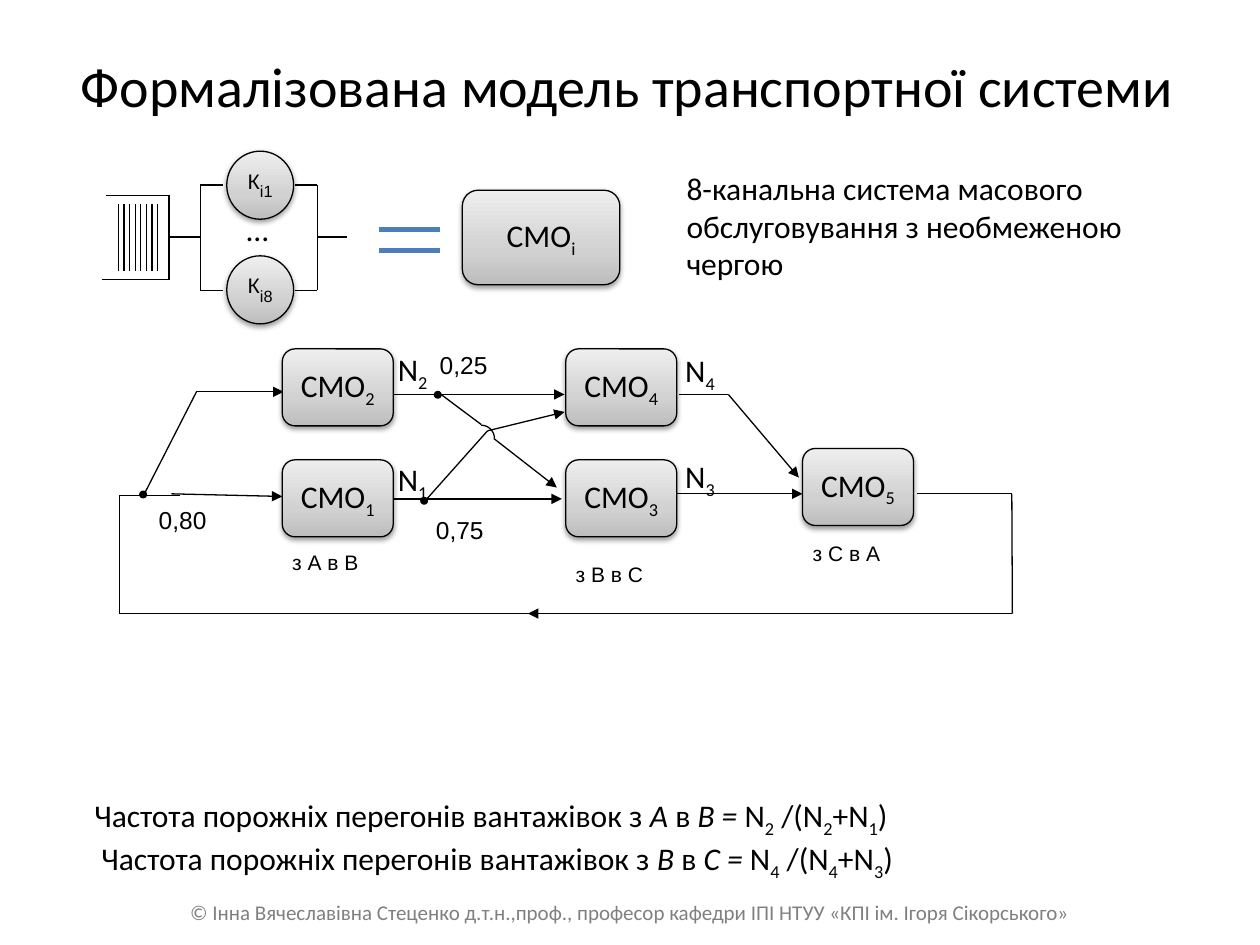
"""Draw the formal queueing model of a transport system."""
from itertools import pairwise
from math import cos, pi, sin

from pptx import Presentation
from pptx.dml.color import RGBColor
from pptx.enum import shapes, text
from pptx.oxml import parse_xml as xml
from pptx.oxml.ns import nsdecls
from pptx.util import Pt

FORM = shapes.MSO_SHAPE
TOP, MID = text.MSO_ANCHOR.TOP, text.MSO_ANCHOR.MIDDLE
LEFT, CENTER = text.PP_ALIGN.LEFT, text.PP_ALIGN.CENTER


def tint(code):
    """Turn a hex string into a colour."""
    return RGBColor.from_string(code)


def node(tag, body="", attrs=""):
    """Build one drawing element."""
    return xml(f"<a:{tag} {nsdecls('a')} {attrs}>{body}</a:{tag}>")


class Board:
    """Hold the style and the current slide."""

    ink = "000000"
    thin = 0.75
    body, plain = "Calibri", "Arial"
    stops = ((0, "BDBDBD"), (35, "D1D1D1"), (100, "EEEEEE"))

    def __init__(self, slide):
        """Keep the slide to draw on."""
        self.slide = slide
        self.items = slide.shapes

    def words(self, frame, lines, size=18, font=body, color=ink,
              align=LEFT, sub=-25, small=None):
        """Fill a frame; a part led by _ is a subscript, by ~ is italic."""
        frame.word_wrap = True
        frame.text = "\n".join([""] * len(lines))
        for para, line in zip(frame.paragraphs, lines):
            para.alignment = align
            for part in line.split("|"):
                run = para.add_run()
                run.text = part.lstrip("_~")
                low = part.startswith("_")
                run.font.name = font
                run.font.size = Pt(small if low and small else size)
                run.font.color.rgb = tint(color)
                if part.startswith("~"):
                    run.font.italic = True
                if low:
                    run.font._element.set("baseline", str(sub * 1000))

    def trim(self, frame):
        """Clear the margins of a frame."""
        frame.margin_left = frame.margin_right = 0
        frame.margin_top = frame.margin_bottom = 0

    def title(self, line, x, y, w, h):
        """Place and fill the title."""
        head = self.items.title
        head.left, head.top, head.width, head.height = map(Pt, (x, y, w, h))
        head.text_frame.vertical_anchor = MID
        self.words(head.text_frame, [line], size=32, align=CENTER)

    def label(self, lines, x, y, w, h, bare=False, **style):
        """Add a text box."""
        frame = self.items.add_textbox(*map(Pt, (x, y, w, h))).text_frame
        if bare:
            self.trim(frame)
            style["font"] = self.plain
        self.words(frame, lines, **style)

    def edge(self, line, color=ink, width=thin):
        """Style an outline."""
        line.color.rgb = tint(color)
        line.width = Pt(width)

    def shade(self, form):
        """Give a shape the grey gradient, outline and soft shadow."""
        self.edge(form.line)
        form.shadow.inherit = False
        stops = "".join(
            f'<a:gs pos="{at * 1000}"><a:srgbClr val="{code}"/></a:gs>'
            for at, code in self.stops)
        fill = node("gradFill", f'<a:gsLst>{stops}</a:gsLst>'
                    '<a:lin ang="16200000" scaled="0"/>', 'rotWithShape="1"')
        props = form._element.spPr
        props.insert(2, fill)
        black = f'<a:srgbClr val="{self.ink}"><a:alpha val="38000"/></a:srgbClr>'
        props[-1].append(node(
            "outerShdw", black, f'blurRad="{Pt(3.1)}" dist="{Pt(1.6)}" '
            'dir="5400000" rotWithShape="0"'))

    def box(self, name, x, y, w=63.4, h=44):
        """Add a rounded service node."""
        form = self.items.add_shape(FORM.ROUNDED_RECTANGLE, *map(Pt, (x, y, w, h)))
        self.shade(form)
        form.text_frame.vertical_anchor = MID
        self.words(form.text_frame, ["CMO|_" + name], align=CENTER)

    def disc(self, name, x, y):
        """Add a round channel."""
        form = self.items.add_shape(FORM.OVAL, *map(Pt, (x, y, 38.2, 38.9)))
        self.shade(form)
        self.trim(form.text_frame)
        form.text_frame.vertical_anchor = TOP
        self.words(form.text_frame, ["К|_" + name], size=12, font=self.plain,
                   align=CENTER, sub=-30, small=16)

    def dot(self, x, y, d=3.8):
        """Add a branch point centred on x, y."""
        form = self.items.add_shape(FORM.OVAL, *map(Pt, (x - d / 2, y - d / 2, d, d)))
        form.shadow.inherit = False
        form.fill.solid()
        form.fill.fore_color.rgb = tint(self.ink)
        self.edge(form.line)

    def route(self, *stops, arrow=False, **style):
        """Join points by straight lines, with an arrow at the end if asked."""
        for start, end in pairwise(stops):
            link = self.items.add_connector(
                shapes.MSO_CONNECTOR.STRAIGHT, *map(Pt, start + end))
            self.edge(link.line, **style)
            link._element.spPr.append(node("effectLst"))
        if arrow:
            outline = link._element.spPr.get_or_add_ln()
            outline.append(node("tailEnd", attrs='type="triangle"'))

    def arc(self, x, y, r, steps=12):
        """Add a quarter circle from the top to the right of its centre."""
        turns = [pi / 2 * i / steps for i in range(steps + 1)]
        curve = [(Pt(x + r * sin(t)), Pt(y - r * cos(t))) for t in turns]
        pen = self.items.build_freeform(*curve[0])
        pen.add_line_segments(curve[1:], close=False)
        form = pen.convert_to_shape()
        form.shadow.inherit = False
        form.fill.background()
        self.edge(form.line)


def queue(board):
    """Draw the eight-channel queue and its short form."""
    for i in range(8):
        x = 67.7 + 3.19 * i
        board.route((x, 154.8), (x, 116.6))
    board.route((60.5, 111.6), (96.5, 111.6), (96.5, 159.8), (58.3, 159.8))
    for near, far in ((127.4, 114.5), (168.5, 181.4)):
        board.route((near, 105.8), (far, 105.8), (far, 165.8), (near, 165.8))
    for start, end in ((96.5, 114.5), (181.4, 198)):
        board.route((start, 135.4), (end, 135.4))
    for name, y in (("i1", 86.4), ("i8", 146.2)):
        board.disc(name, 129.6, y)
    board.label(["…"], 133.9, 116.6, 28.8, 28.8)
    board.box("i", 264.2, 108.7, 90, 54)
    for y in (131, 143.3):
        board.route((216.7, y), (251.3, y), color="4B7EBC", width=3)


def network(board):
    """Draw the network of service nodes."""
    board.route((524.2, 282.2), (578.2, 282.2), (578.5, 350.6),
                (68.4, 350.6), (68.4, 283), (103, 283))
    board.route((252, 225.4), (275, 242.6))
    board.arc(275, 250.6, 7.6)
    for stops in (
            ((242.6, 286.6), (278.6, 246.2), (322.6, 235.4)),
            ((97.9, 282.2), (161.3, 283.7)),
            ((82.1, 283), (112.3, 223.9), (162, 223.9)),
            ((224.6, 285.1), (321.1, 285.1)),
            ((382.3, 282.2), (458.6, 282.2)),
            ((388.1, 225.4), (416.2, 225.4), (456.5, 272.9)),
            ((282.2, 250.6), (318.2, 278.6)),
            ((218.2, 225.4), (322.6, 225.4)),
            ((311, 350.6), (301.7, 350.6))):
        board.route(*stops, arrow=True)
    for spot in ((242.4, 286.2), (81.8, 282.6), (250.2, 225.6)):
        board.dot(*spot)
    for name, x, y in (("2", 161.3, 199.4), ("1", 161.3, 262.8),
                       ("4", 323.3, 199.4), ("3", 323.3, 262.8),
                       ("5", 458.6, 256.3)):
        board.box(name, x, y)
    for line, x, y in (("з А в В", 167, 313.9), ("з В в С", 329, 321.1),
                       ("з С в А", 464.4, 308.9)):
        board.label([line], x, y, 54, 20.9, bare=True, size=12)
    for line, x, y in (("0,25", 251.3, 200.2), ("0,75", 249.1, 294.5),
                       ("0,80", 90.7, 288.7)):
        board.label([line], x, y, 36, 18.7, bare=True, size=14)
    for name, x, y in (("2", 220.3, 196.6), ("1", 220.3, 259.2),
                       ("4", 384.5, 197.3), ("3", 384.5, 257.8)):
        board.label(["N|_" + name], x, y, 41, 28.8)


def main():
    """Build and save the slide."""
    deck = Presentation()
    deck.slide_width, deck.slide_height = Pt(720), Pt(540)
    board = Board(deck.slides.add_slide(deck.slide_layouts[5]))
    board.title("Формалізована модель транспортної системи", 34.6, 3.6, 648, 90)
    network(board)
    board.label(["8-канальна система масового обслуговування з необмеженою чергою"],
                385.2, 92.9, 286.6, 72.7)
    queue(board)
    board.label([
        "Частота порожніх перегонів вантажівок з |~А| в |~В = |N|_2| /(N|_2|+N|_1|)",
        " Частота порожніх перегонів вантажівок з |~В| в |~С =| N|_4| /(N|_4|+N|_3|)",
    ], 46.8, 451.4, 589, 51.1)
    board.label(["© Інна Вячеславівна Стеценко д.т.н.,проф., професор кафедри "
                 "ІПІ НТУУ «КПІ ім. Ігоря Сікорського»"],
                36, 510.5, 648, 21.6, size=12, color="808080", align=CENTER)
    deck.save("out.pptx")


if __name__ == "__main__":
    main()
